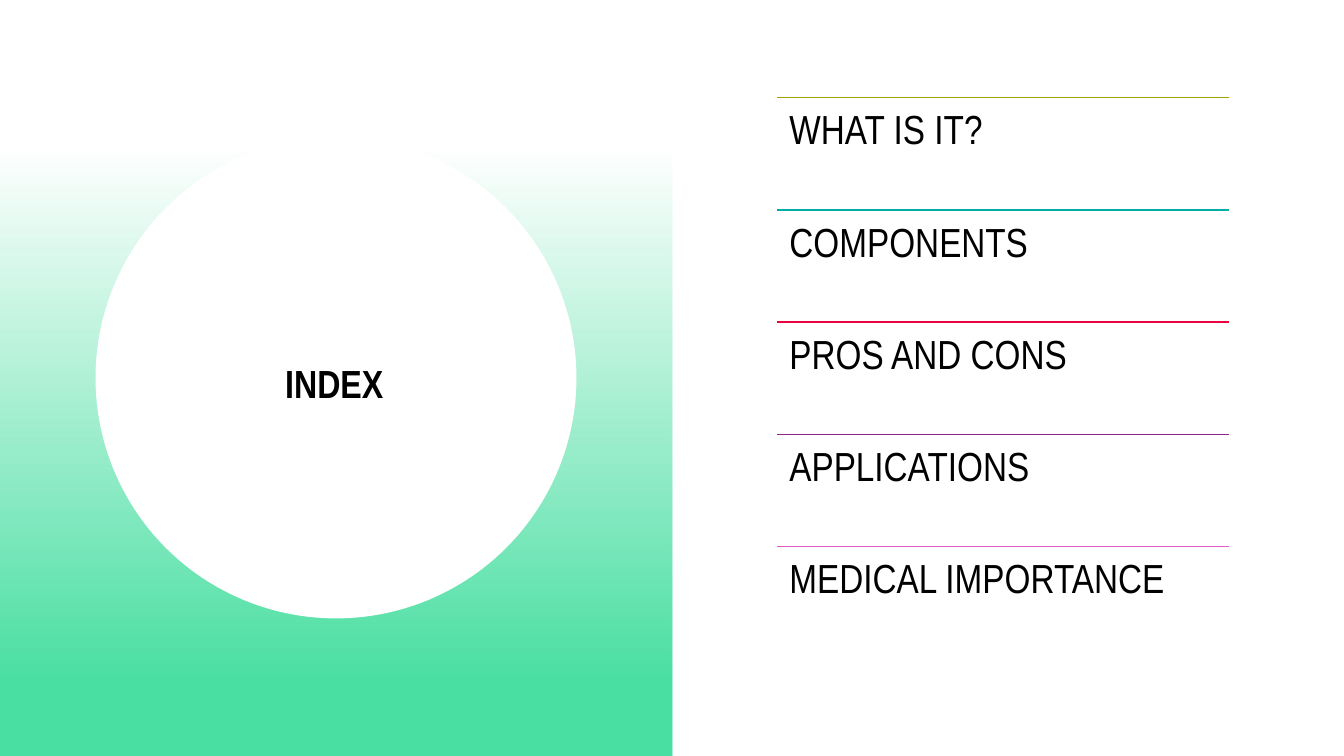
from lxml.etree import SubElement
from pptx import Presentation
from pptx.dml.color import RGBColor
from pptx.enum.shapes import MSO_CONNECTOR as Connector, MSO_SHAPE as Shape
from pptx.enum.text import MSO_ANCHOR as Anchor, PP_ALIGN as Align
from pptx.oxml import parse_xml
from pptx.oxml.ns import nsdecls, qn
from pptx.util import Inches, Pt

WIDTH, HEIGHT = 13.33, 7.5
COLORS = {
    "white": "FFFFFF",
    "black": "000000",
    "green": "4ADFA2",
    "olive": "A3A300",
    "teal": "00ADA5",
    "red": "EA013F",
    "purple": "92248F",
    "pink": "DF5AC1",
}
TOPICS = [
    ("WHAT IS IT?", "olive"),
    ("COMPONENTS", "teal"),
    ("PROS AND CONS", "red"),
    ("APPLICATIONS", "purple"),
    ("MEDICAL IMPORTANCE", "pink"),
]
LIST_LEFT, LIST_TOP, LIST_WIDTH, ROW_HEIGHT = 7.71, 0.97, 4.48, 1.1125
CIRCLE_SIZE = 4.77
TITLE_WIDTH, TITLE_HEIGHT = 3.99, 2.5
FADE_STOPS = [(0, 0), (20, 0), (90, 100), (100, 100)]


def rgb(name):
    """Return the named color."""
    return RGBColor.from_string(COLORS[name])


def set_attributes(target, values):
    """Set each attribute of target from a dict of values."""
    for name, value in values.items():
        setattr(target, name, value)


def add_panel(slide, kind, left, top, width, height, color="white"):
    """Add a plain filled shape without outline or shadow."""
    shape = slide.shapes.add_shape(kind, *map(Inches, (left, top, width, height)))
    shape.shadow.inherit = False
    shape.fill.solid()
    shape.fill.fore_color.rgb = rgb(color)
    shape.line.fill.background()
    return shape


def fade_down(shape, color, stops):
    """Fill a shape with one color whose opacity changes from top to bottom."""
    stop_xml = "".join(
        f'<a:gs pos="{position * 1000}"><a:srgbClr val="{COLORS[color]}">'
        f'<a:alpha val="{opacity * 1000}"/></a:srgbClr></a:gs>'
        for position, opacity in stops
    )
    gradient = parse_xml(
        f'<a:gradFill {nsdecls("a")} rotWithShape="1"><a:gsLst>{stop_xml}</a:gsLst>'
        '<a:lin ang="5400000" scaled="0"/></a:gradFill>'
    )
    properties = shape.element.spPr
    properties.replace(properties.find(qn("a:solidFill")), gradient)


def add_text(slide, box, text, frame_format, paragraph_format, font_format):
    """Add a text box holding one formatted paragraph."""
    frame = slide.shapes.add_textbox(*map(Inches, box)).text_frame
    set_attributes(frame, {"word_wrap": True, **frame_format})
    paragraph = frame.paragraphs[0]
    set_attributes(paragraph, paragraph_format)
    run = paragraph.add_run()
    run.text = text
    set_attributes(run.font, {"name": "Arial Narrow", **font_format})
    run.font.color.rgb = rgb("black")


def add_rule(slide, left, top, width, color):
    """Add a thin horizontal line."""
    ends = map(Inches, (left, top, left + width, top))
    rule = slide.shapes.add_connector(Connector.STRAIGHT, *ends)
    rule.line.color.rgb = rgb(color)
    rule.line.width = Pt(1)
    SubElement(rule.element.spPr, qn("a:effectLst"))


def add_topic(slide, row, text, color):
    """Add one index entry under its colored rule."""
    top = LIST_TOP + row * ROW_HEIGHT
    add_rule(slide, LIST_LEFT, top, LIST_WIDTH, color)
    margins = ("margin_left", "margin_top", "margin_right", "margin_bottom")
    add_text(
        slide,
        (LIST_LEFT, top, LIST_WIDTH, ROW_HEIGHT),
        text,
        {"vertical_anchor": Anchor.TOP, **dict.fromkeys(margins, Inches(0.12))},
        {"alignment": Align.LEFT, "line_spacing": 0.9},
        {"size": Pt(29)},
    )


def main():
    """Build the index slide and save it."""
    presentation = Presentation()
    set_attributes(
        presentation, {"slide_width": Inches(WIDTH), "slide_height": Inches(HEIGHT)}
    )
    slide = presentation.slides.add_slide(presentation.slide_layouts[6])
    add_panel(slide, Shape.RECTANGLE, 0, 0, WIDTH, HEIGHT)
    half = add_panel(slide, Shape.RECTANGLE, 0, 0, WIDTH / 2, HEIGHT, "green")
    fade_down(half, "green", FADE_STOPS)
    circle_left = WIDTH / 4 - CIRCLE_SIZE / 2
    circle_top = (HEIGHT - CIRCLE_SIZE) / 2
    add_panel(slide, Shape.OVAL, circle_left, circle_top, CIRCLE_SIZE, CIRCLE_SIZE)
    add_text(
        slide,
        (1.32, (HEIGHT - TITLE_HEIGHT) / 2, TITLE_WIDTH, TITLE_HEIGHT),
        "INDEX",
        {"vertical_anchor": Anchor.MIDDLE},
        {"alignment": Align.CENTER, "line_spacing": 1.2},
        {"size": Pt(28), "bold": True},
    )
    for row, (text, color) in enumerate(TOPICS):
        add_topic(slide, row, text, color)
    presentation.save("out.pptx")


if __name__ == "__main__":
    main()
